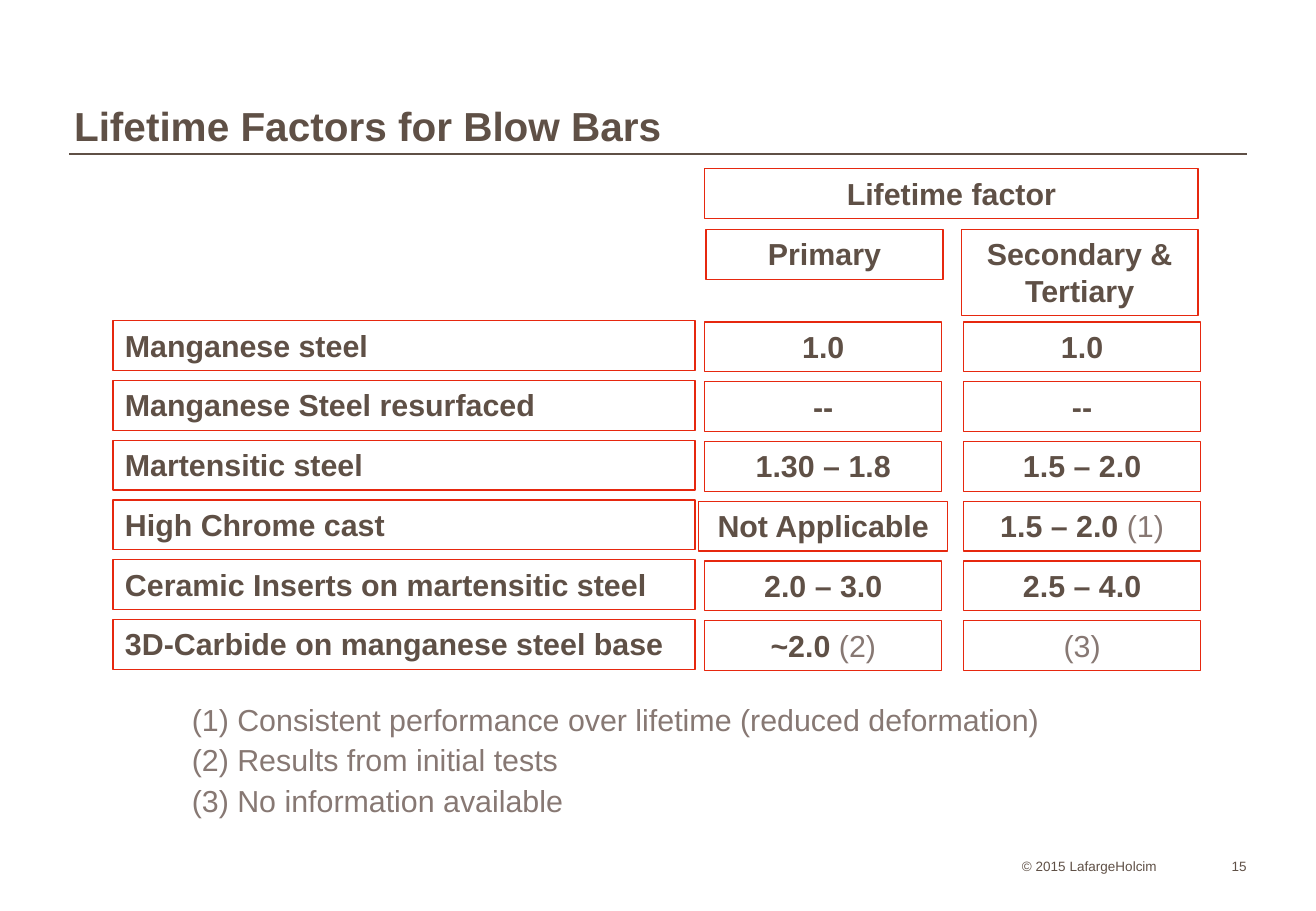
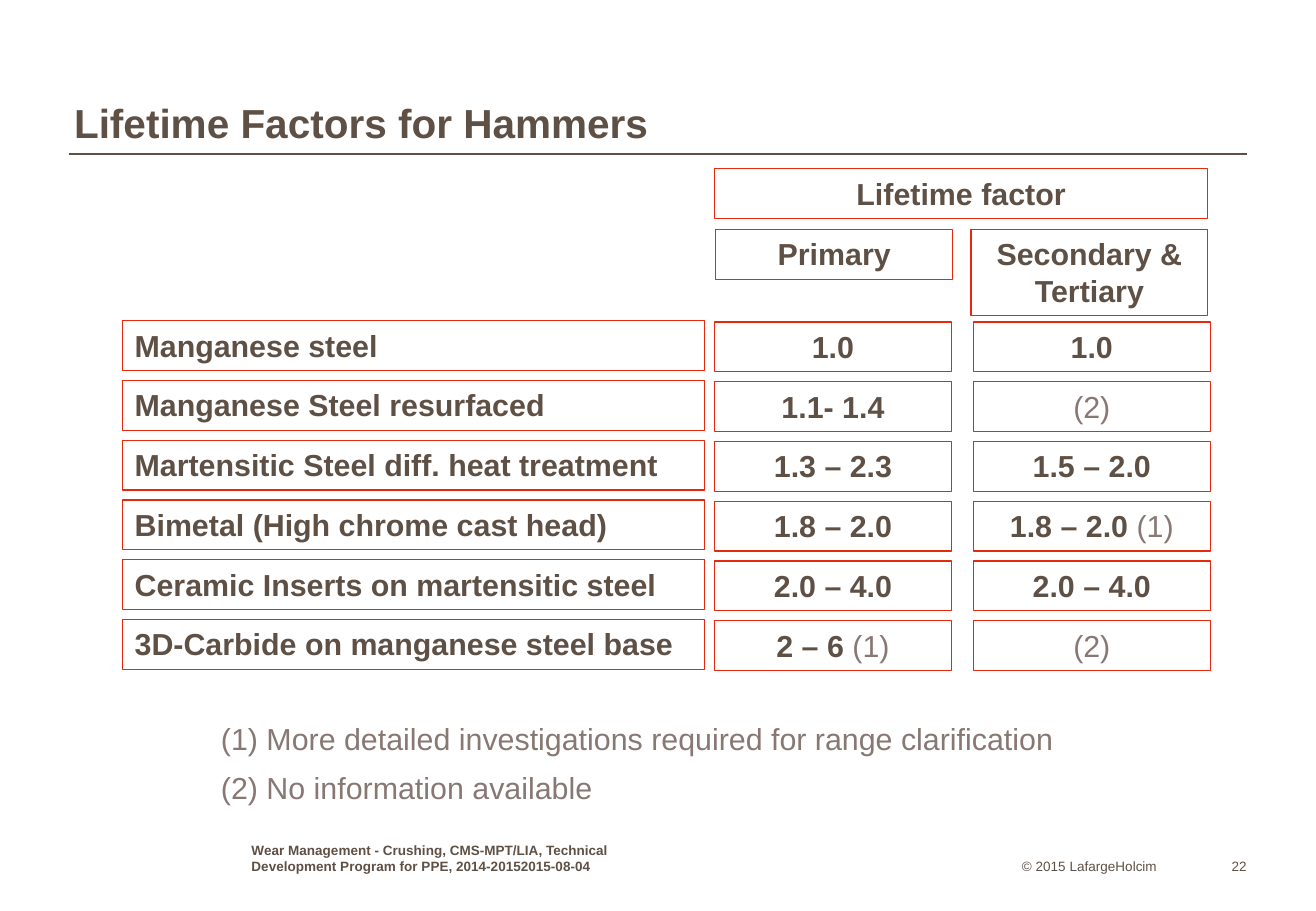
import pptx
import pptx.util
from pptx.dml.color import RGBColor
from pptx.enum.shapes import MSO_CONNECTOR, MSO_SHAPE
from pptx.enum.text import MSO_ANCHOR, PP_ALIGN
from pptx.oxml.xmlchemy import OxmlElement

BROWN = RGBColor(0x5F, 0x50, 0x46)
GREY = RGBColor(0x87, 0x78, 0x73)
RED = RGBColor(0xE6, 0x28, 0x0F)
FONT = "Arial"
PX = 9144  # 100 px to the inch

COPYRIGHT = "© 2015 LafargeHolcim"
HEADERS = [  # text, left, top, width, height
    ("Lifetime factor", 580, 139, 406, 41),
    ("Primary", 581, 189, 195, 41),
    ("Secondary & Tertiary", 791, 189, 195, 71),
]

# Each row: material, then (value, note mark) for primary and for secondary & tertiary
SLIDES = [
    {
        "title": "Lifetime Factors for Blow Bars",
        "title_top": 38,
        "number": "15",
        "footer": "",
        "shift": 0,
        "rows": [
            ("Manganese steel", ("1.0", ""), ("1.0", "")),
            ("Manganese Steel resurfaced", ("--", ""), ("--", "")),
            ("Martensitic steel", ("1.30 – 1.8", ""), ("1.5 – 2.0", "")),
            ("High Chrome cast", ("Not Applicable", ""), ("1.5 – 2.0 ", "(1)")),
            ("Ceramic Inserts on martensitic steel", ("2.0 – 3.0", ""), ("2.5 – 4.0", "")),
            ("3D-Carbide on manganese steel base", ("~2.0 ", "(2)"), ("", "(3)")),
        ],
        "notes": [
            "(1) Consistent performance over lifetime (reduced deformation)",
            "(2) Results from initial tests",
            "(3) No information available",
        ],
        "notes_at": (148, 572),
        "notes_gap": 2.4,
    },
    {
        "title": "Lifetime Factors for Hammers",
        "title_top": 36,
        "number": "22",
        "footer": "Wear Management - Crushing, CMS-MPT/LIA, Technical "
                  "Development Program for PPE, 2014-20152015-08-04",
        "shift": 8,
        "rows": [
            ("Manganese steel", ("1.0", ""), ("1.0", "")),
            ("Manganese Steel resurfaced", ("1.1- 1.4", ""), ("", "(2)")),
            ("Martensitic Steel diff. heat treatment", ("1.3 – 2.3", ""), ("1.5 – 2.0", "")),
            ("Bimetal (High chrome cast head)", ("1.8 – 2.0", ""), ("1.8 – 2.0 ", "(1)")),
            ("Ceramic Inserts on martensitic steel", ("2.0 – 4.0", ""), ("2.0 – 4.0", "")),
            ("3D-Carbide on manganese steel base", ("2 – 6 ", "(1)"), ("", "(2)")),
        ],
        "notes": [
            "(1) More detailed investigations required for range clarification",
            "(2) No information available",
        ],
        "notes_at": (172, 588),
        "notes_gap": 7.4,
    },
]

ROW_TOP, LAST_ROW_TOP, ROW_HEIGHT = 264, 510, 41
MATERIAL_LEFT, MATERIAL_WIDTH = 93, 479
VALUE_LEFTS, VALUE_WIDTH = (580, 793), 195
WIDE_VALUE, WIDE_WIDTH = "Not Applicable", 205


def px(*lengths):
    return [pptx.util.Emu(round(length * PX)) for length in lengths]


def add_run(paragraph, text, size, color=BROWN, bold=False):
    run = paragraph.add_run()
    run.text = text
    run.font.name = FONT
    run.font.size = pptx.util.Pt(size)
    run.font.bold = bold
    run.font.color.rgb = color


def add_bottom_text(slide, box, text, size, bold=False, align=PP_ALIGN.LEFT, bottom=0):
    """Add a text box without insets whose text sits on its lower edge."""
    frame = slide.shapes.add_textbox(*px(*box)).text_frame
    frame.word_wrap = True
    frame.vertical_anchor = MSO_ANCHOR.BOTTOM
    frame.margin_left = frame.margin_right = frame.margin_top = 0
    frame.margin_bottom = px(bottom)[0]
    paragraph = frame.paragraphs[0]
    paragraph.alignment = align
    add_run(paragraph, text, size, bold=bold)
    return paragraph


def add_cell(slide, box, text, mark="", align=PP_ALIGN.CENTER):
    """Add a red outlined box with a bold text and a light note mark."""
    shape = slide.shapes.add_shape(MSO_SHAPE.RECTANGLE, *px(*box))
    shape.shadow.inherit = False
    shape.fill.background()
    shape.line.color.rgb = RED
    shape.line.width = pptx.util.Pt(0.75)
    frame = shape.text_frame
    frame.word_wrap = True
    frame.vertical_anchor = MSO_ANCHOR.TOP
    paragraph = frame.paragraphs[0]
    paragraph.alignment = align
    if text:
        add_run(paragraph, text, 18, bold=True)
    if mark:
        add_run(paragraph, mark, 18, GREY)


def add_frame(slide, content):
    """Add the title, its rule and the footer."""
    rule = slide.shapes.add_connector(MSO_CONNECTOR.STRAIGHT, *px(57, 127, 1026, 127))
    rule.line.color.rgb = BROWN
    rule.line.width = pptx.util.Pt(1)
    rule._element.spPr.append(OxmlElement("a:effectLst"))
    add_bottom_text(slide, (841, 702, 132, 18), COPYRIGHT, 8)
    if content["footer"]:
        add_bottom_text(slide, (207, 702, 347, 18), content["footer"], 8, bold=True)
    add_bottom_text(slide, (979, 702, 47, 18), content["number"], 8, align=PP_ALIGN.RIGHT)
    title = add_bottom_text(slide, (61, content["title_top"], 960, 87),
                            content["title"], 24, bold=True, bottom=1)
    title.line_spacing = 0.95


def add_factors(slide, rows, shift):
    for text, left, top, width, height in HEADERS:
        add_cell(slide, (left + shift, top, width, height), text)
    pitch = (LAST_ROW_TOP - ROW_TOP) / (len(rows) - 1)
    for index, (material, *values) in enumerate(rows):
        top = ROW_TOP + index * pitch
        add_cell(slide, (MATERIAL_LEFT + shift, top, MATERIAL_WIDTH, ROW_HEIGHT),
                 material, align=PP_ALIGN.LEFT)
        for left, (value, mark) in zip(VALUE_LEFTS, values):
            width = WIDE_WIDTH if value == WIDE_VALUE else VALUE_WIDTH
            left += shift - (width - VALUE_WIDTH) / 2
            add_cell(slide, (left, top + 1, width, ROW_HEIGHT), value, mark)


def add_notes(slide, notes, position, gap):
    height = 10 + len(notes) * 32
    frame = slide.shapes.add_textbox(*px(*position, 782, height)).text_frame
    frame.word_wrap = True
    for index, note in enumerate(notes):
        paragraph = frame.add_paragraph() if index else frame.paragraphs[0]
        if index:
            paragraph.space_before = pptx.util.Pt(gap)
        add_run(paragraph, note, 18, GREY)


def main():
    presentation = pptx.Presentation()
    presentation.slide_width, presentation.slide_height = px(1083, 750)
    for content in SLIDES:
        slide = presentation.slides.add_slide(presentation.slide_layouts[6])
        add_frame(slide, content)
        add_factors(slide, content["rows"], content["shift"])
        add_notes(slide, content["notes"], content["notes_at"], content["notes_gap"])
    presentation.save("out.pptx")


if __name__ == "__main__":
    main()
